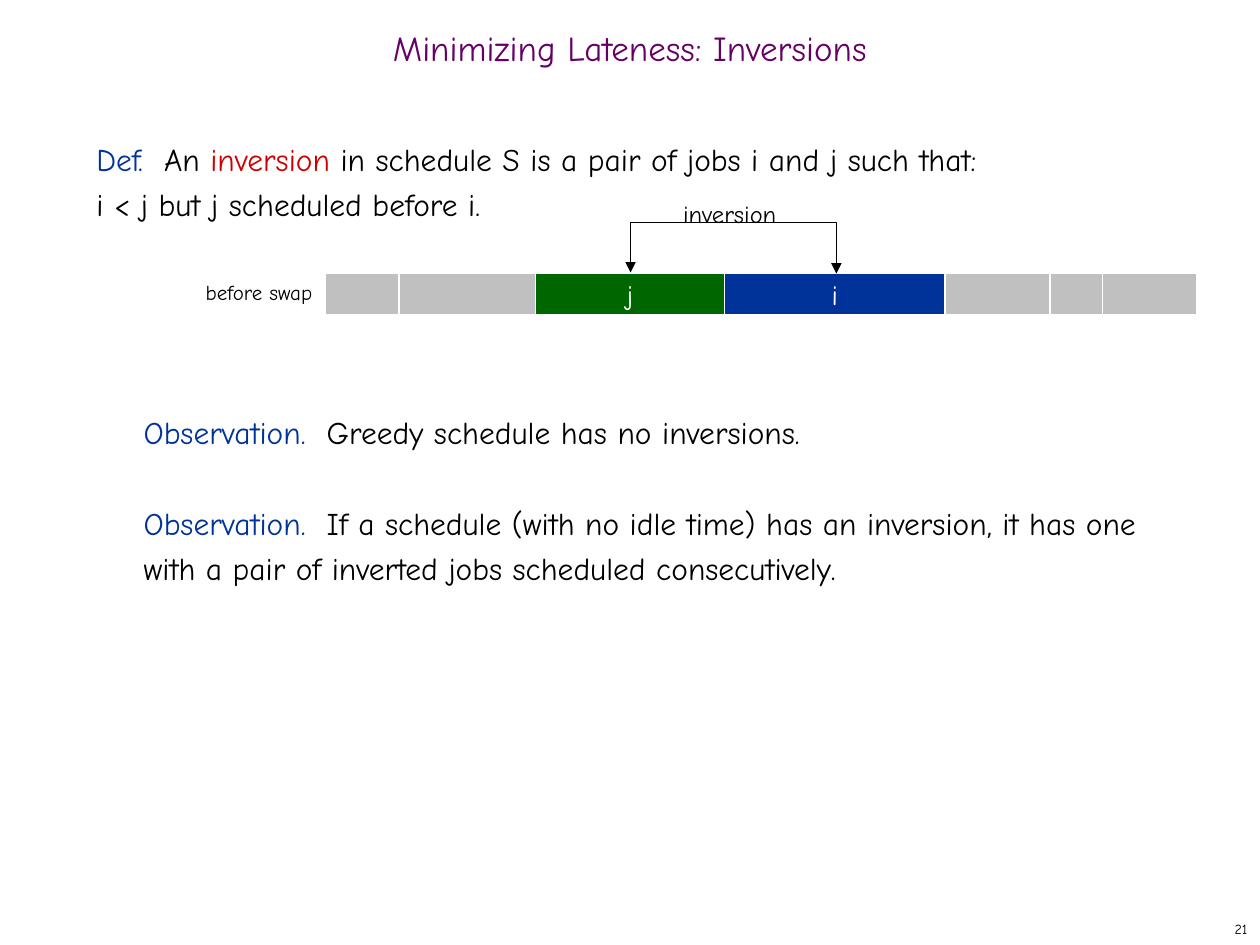
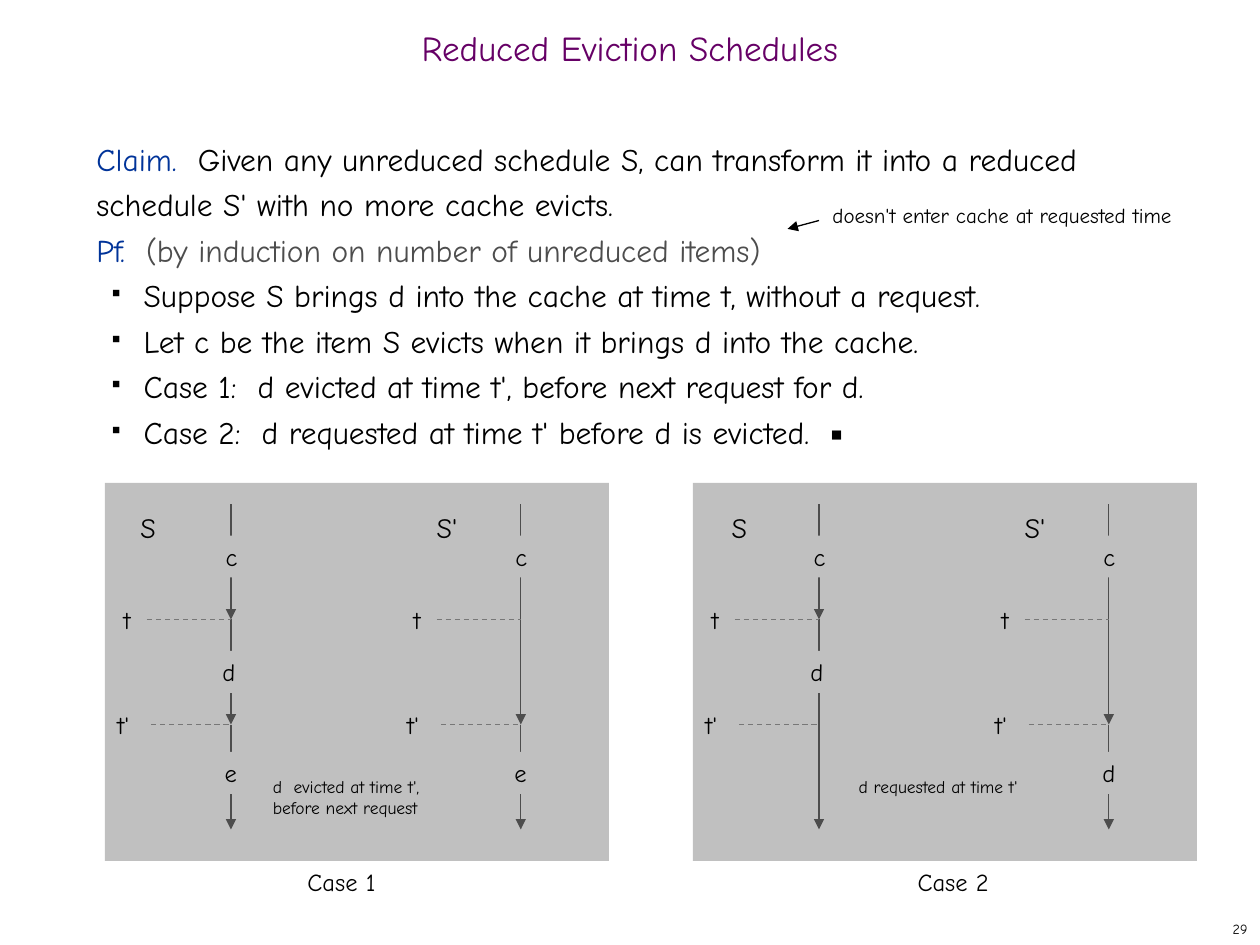
from dataclasses import dataclass
from itertools import pairwise

from lxml.etree import SubElement
from pptx import Presentation
from pptx.dml.color import RGBColor
from pptx.enum.dml import MSO_LINE
from pptx.enum.shapes import MSO_CONNECTOR, MSO_SHAPE
from pptx.enum.text import MSO_ANCHOR, PP_ALIGN
from pptx.oxml.ns import qn
from pptx.presentation import Presentation as Deck
from pptx.shapes.autoshape import Shape
from pptx.shapes.connector import Connector
from pptx.slide import Slide
from pptx.util import Pt

PX = 7620  # 120 px to the inch
FONT = "Comic Neue"
BLACK = RGBColor(0x00, 0x00, 0x00)
WHITE = RGBColor(0xFF, 0xFF, 0xFF)
PURPLE = RGBColor(0x66, 0x00, 0x66)
BLUE = RGBColor(0x00, 0x33, 0x99)
GREEN = RGBColor(0x00, 0x66, 0x00)
RED = RGBColor(0xCC, 0x00, 0x00)
SILVER = RGBColor(0xC0, 0xC0, 0xC0)
DARK_GRAY = RGBColor(0x4D, 0x4D, 0x4D)
MID_GRAY = RGBColor(0x77, 0x77, 0x77)
BODY_LEADING = Pt(26)
BODY_INDENT = 45
BULLET_HANG = 30


@dataclass(frozen=True)
class Box:
    left: int
    top: int
    width: int
    height: int

    def emu(self) -> tuple[int, int, int, int]:
        return self.left * PX, self.top * PX, self.width * PX, self.height * PX


@dataclass(frozen=True)
class Span:
    text: str
    color: RGBColor = BLACK


@dataclass(frozen=True)
class Para:
    spans: tuple[Span, ...]
    indent: int = 0
    bullet: bool = False
    lines_before: int = 0


@dataclass(frozen=True)
class Job:
    width: int
    label: str = ""
    fill: RGBColor = SILVER


@dataclass(frozen=True)
class Timeline:
    """One schedule: where its arrows break, and the items cached along it."""
    label: str
    label_left: int
    label_width: int
    stops: tuple[int, ...]
    items: tuple[tuple[str, Box], ...]


@dataclass(frozen=True)
class Case:
    left: int
    timelines: tuple[Timeline, Timeline]
    note: str
    note_box: Box
    caption: str
    caption_box: Box


TITLE_BOX = Box(0, 20, 1200, 60)
BODY_BOX = Box(80, 120, 1030, 710)
NUMBER_BOX = Box(950, 870, 250, 30)

JOBS_LEFT, JOBS_TOP, JOB_HEIGHT = 310, 260, 40
JOBS = (Job(70), Job(130), Job(180, "j", GREEN), Job(210, "i", BLUE),
        Job(100), Job(50), Job(90))

PANEL_TOP, PANEL_WIDTH, PANEL_HEIGHT = 460, 480, 360
TIMELINE_STEP, AXIS_OFFSET = 276, 120
START, TIME_T, TIME_T_PRIME, END = 480, 590, 690, 790
# Item slots, with left measured from the timeline's own left edge.
FIRST = Box(103, 510, 40, 40)
MIDDLE = Box(100, 620, 40, 40)
LAST = Box(102, 716, 40, 40)
CASES = (
    Case(100,
         (Timeline("S", 22, 38, (START, TIME_T, TIME_T_PRIME, END),
                   (("c", FIRST), ("d", MIDDLE), ("e", LAST))),
          Timeline("S'", 28, 44, (START, TIME_T_PRIME, END),
                   (("c", FIRST), ("e", LAST)))),
         "d  evicted at time t',\nbefore next request", Box(248, 733, 164, 53),
         "Case 1", Box(281, 820, 89, 40)),
    Case(660,
         (Timeline("S", 25, 38, (START, TIME_T, END),
                   (("c", FIRST), ("d", MIDDLE))),
          Timeline("S'", 28, 44, (START, TIME_T_PRIME, END),
                   (("c", FIRST), ("d", LAST)))),
         "d requested at time t'", Box(806, 733, 176, 32),
         "Case 2", Box(862, 820, 92, 40)),
)


def write(shape: Shape, text: str | tuple[Para, ...], *, size: int,
          color: RGBColor = BLACK, align: PP_ALIGN = PP_ALIGN.LEFT,
          anchor: MSO_ANCHOR = MSO_ANCHOR.TOP, wrap: bool = False,
          margin: int = 6, leading: float | None = None) -> None:
    """Fill a shape with plain text, or with paragraphs of coloured spans."""
    frame = shape.text_frame
    frame.word_wrap = wrap
    frame.vertical_anchor = anchor
    frame.margin_left = frame.margin_right = 12 * PX
    frame.margin_top = frame.margin_bottom = margin * PX
    paras = (Para((Span(text, color),)),) if isinstance(text, str) else text
    for index, para in enumerate(paras):
        paragraph = frame.add_paragraph() if index else frame.paragraphs[0]
        paragraph.alignment = align
        if leading:
            paragraph.line_spacing = leading
        if para.lines_before:
            paragraph.space_before = para.lines_before * BODY_LEADING
        if para.indent:
            indent_paragraph(paragraph, para)
        for span in para.spans:
            for number, line in enumerate(span.text.split("\n")):
                if number:
                    paragraph.add_line_break()
                run = paragraph.add_run()
                run.text = line
                run.font.name = FONT
                run.font.size = Pt(size)
                run.font.color.rgb = span.color


def indent_paragraph(paragraph, para: Para) -> None:
    properties = paragraph._p.get_or_add_pPr()
    properties.set("marL", str(para.indent * PX))
    properties.set("indent", str(-BULLET_HANG * PX if para.bullet else 0))
    if para.bullet:
        bullet_color = SubElement(properties, qn("a:buClr"))
        SubElement(bullet_color, qn("a:srgbClr"), val=str(BLACK))
        SubElement(properties, qn("a:buSzPct"), val="35000")
        SubElement(properties, qn("a:buChar"), char="■")


def add_text(slide: Slide, text: str | tuple[Para, ...], box: Box, **style) -> None:
    write(slide.shapes.add_textbox(*box.emu()), text, **style)


def add_rect(slide: Slide, box: Box, fill: RGBColor = SILVER,
             outline: RGBColor | None = None) -> Shape:
    rect = slide.shapes.add_shape(MSO_SHAPE.RECTANGLE, *box.emu())
    rect.shadow.inherit = False
    rect.fill.solid()
    rect.fill.fore_color.rgb = fill
    if outline is None:
        rect.line.fill.background()
    else:
        rect.line.color.rgb = outline
        rect.line.width = Pt(0.75)
    return rect


def add_line(slide: Slide, start: tuple[int, int], end: tuple[int, int],
             color: RGBColor, *, ends: tuple[str, ...] = (), dashed: bool = False,
             kind: MSO_CONNECTOR = MSO_CONNECTOR.STRAIGHT) -> Connector:
    """Draw a connector; ends names the ends (headEnd, tailEnd) with arrows."""
    line = slide.shapes.add_connector(
        kind, *(value * PX for value in (*start, *end)))
    line.line.color.rgb = color
    line.line.width = Pt(0.75)
    if dashed:
        line.line.dash_style = MSO_LINE.DASH
    properties = line._element.spPr
    for end_name in ends:
        SubElement(properties.find(qn("a:ln")), qn(f"a:{end_name}"), type="triangle")
    SubElement(properties, qn("a:effectLst"))
    return line


def add_bracket(slide: Slide, left: int, right: int, bottom: int, rise: int) -> None:
    """Join two points from above, as an elbow one px wide turned on its side."""
    middle, half = (left + right) // 2, (right - left) // 2
    elbow = add_line(slide, (middle, bottom - half), (middle + 1, bottom + half),
                     BLACK, ends=("headEnd", "tailEnd"), kind=MSO_CONNECTOR.ELBOW)
    properties = elbow._element.spPr
    transform = properties.find(qn("a:xfrm"))
    transform.set("rot", str(270 * 60000))
    transform.set("flipH", "1")
    adjustments = properties.find(qn("a:prstGeom")).find(qn("a:avLst"))
    SubElement(adjustments, qn("a:gd"), name="adj1", fmla=f"val {-rise * 100000}")


def add_page(deck: Deck, title: str, number: int, body: tuple[Para, ...]) -> Slide:
    slide = deck.slides.add_slide(deck.slide_layouts[6])
    add_text(slide, str(number), NUMBER_BOX, size=8, align=PP_ALIGN.RIGHT,
             anchor=MSO_ANCHOR.MIDDLE)
    add_text(slide, title, TITLE_BOX, size=20, color=PURPLE, wrap=True, leading=0.7,
             align=PP_ALIGN.CENTER, anchor=MSO_ANCHOR.MIDDLE)
    add_text(slide, body, BODY_BOX, size=18, wrap=True, leading=BODY_LEADING)
    return slide


def add_inversions_page(deck: Deck) -> None:
    observation = Span("Observation.  ", BLUE)
    slide = add_page(deck, "Minimizing Lateness: Inversions", 21, (
        Para((Span("Def.  ", BLUE), Span("An "), Span("inversion", RED),
              Span(" in schedule S is a pair of jobs i and j such that:\n"
                   "i < j but j scheduled before i."))),
        Para((observation, Span("Greedy schedule has no inversions.")),
             indent=BODY_INDENT, lines_before=4),
        Para((observation, Span("If a schedule (with no idle time) has an inversion, "
                                "it has one with a pair of inverted jobs scheduled "
                                "consecutively.")),
             indent=BODY_INDENT, lines_before=1),
    ))
    left = JOBS_LEFT
    for job in JOBS:
        bar = add_rect(slide, Box(left, JOBS_TOP, job.width, JOB_HEIGHT),
                       job.fill, WHITE)
        if job.label:
            write(bar, job.label, size=16, color=WHITE, align=PP_ALIGN.CENTER,
                  anchor=MSO_ANCHOR.MIDDLE)
        left += job.width
    add_text(slide, "before swap", Box(184, 260, 127, 36), size=12)
    add_text(slide, "inversion", Box(590, 184, 210, 40), size=14, wrap=True,
             align=PP_ALIGN.CENTER)
    add_bracket(slide, 600, 796, JOBS_TOP, 48)


def draw_timeline(slide: Slide, timeline: Timeline, left: int) -> None:
    axis = left + AXIS_OFFSET
    for top, bottom in pairwise(timeline.stops):
        add_line(slide, (axis, top), (axis, bottom), DARK_GRAY, ends=("tailEnd",))
    for name, offset, dash_offset, level in (("t", 6, 40, TIME_T),
                                             ("t'", 0, 44, TIME_T_PRIME)):
        add_text(slide, name, Box(left + offset, level - 20, 40, 40), size=14,
                 anchor=MSO_ANCHOR.MIDDLE)
        add_line(slide, (left + dash_offset, level), (axis, level), MID_GRAY,
                 dashed=True)
    for item, slot in timeline.items:
        rect = add_rect(slide, Box(left + slot.left, slot.top, slot.width, slot.height))
        write(rect, item, size=14, anchor=MSO_ANCHOR.MIDDLE, margin=0)
    add_text(slide, timeline.label,
             Box(left + timeline.label_left, START, timeline.label_width, 44), size=16)


def add_eviction_page(deck: Deck) -> None:
    steps = (
        "Suppose S brings d into the cache at time t, without a request.",
        "Let c be the item S evicts when it brings d into the cache.",
        "Case 1:  d evicted at time t', before next request for d.",
        "Case 2:  d requested at time t' before d is evicted.  ▪",
    )
    slide = add_page(deck, "Reduced Eviction Schedules", 29, (
        Para((Span("Claim.  ", BLUE),
              Span("Given any unreduced schedule S, can transform it into a reduced "
                   "schedule S' with no more cache evicts."))),
        Para((Span("Pf.  ", BLUE),
              Span("(by induction on number of unreduced items)", DARK_GRAY))),
        *(Para((Span(step),), indent=BODY_INDENT, bullet=True) for step in steps),
    ))
    for case in CASES:
        add_rect(slide, Box(case.left, PANEL_TOP, PANEL_WIDTH, PANEL_HEIGHT))
        for index, timeline in enumerate(case.timelines):
            draw_timeline(slide, timeline, case.left + index * TIMELINE_STEP)
        add_text(slide, case.note, case.note_box, size=10)
        add_text(slide, case.caption, case.caption_box, size=14)
    add_text(slide, "doesn't enter cache at requested time", Box(781, 187, 380, 36),
             size=12, wrap=True)
    add_line(slide, (780, 210), (750, 218), BLACK, ends=("tailEnd",))


def main() -> None:
    deck = Presentation()
    deck.slide_width, deck.slide_height = 1200 * PX, 900 * PX
    add_inversions_page(deck)
    add_eviction_page(deck)
    deck.save("out.pptx")


if __name__ == "__main__":
    main()
